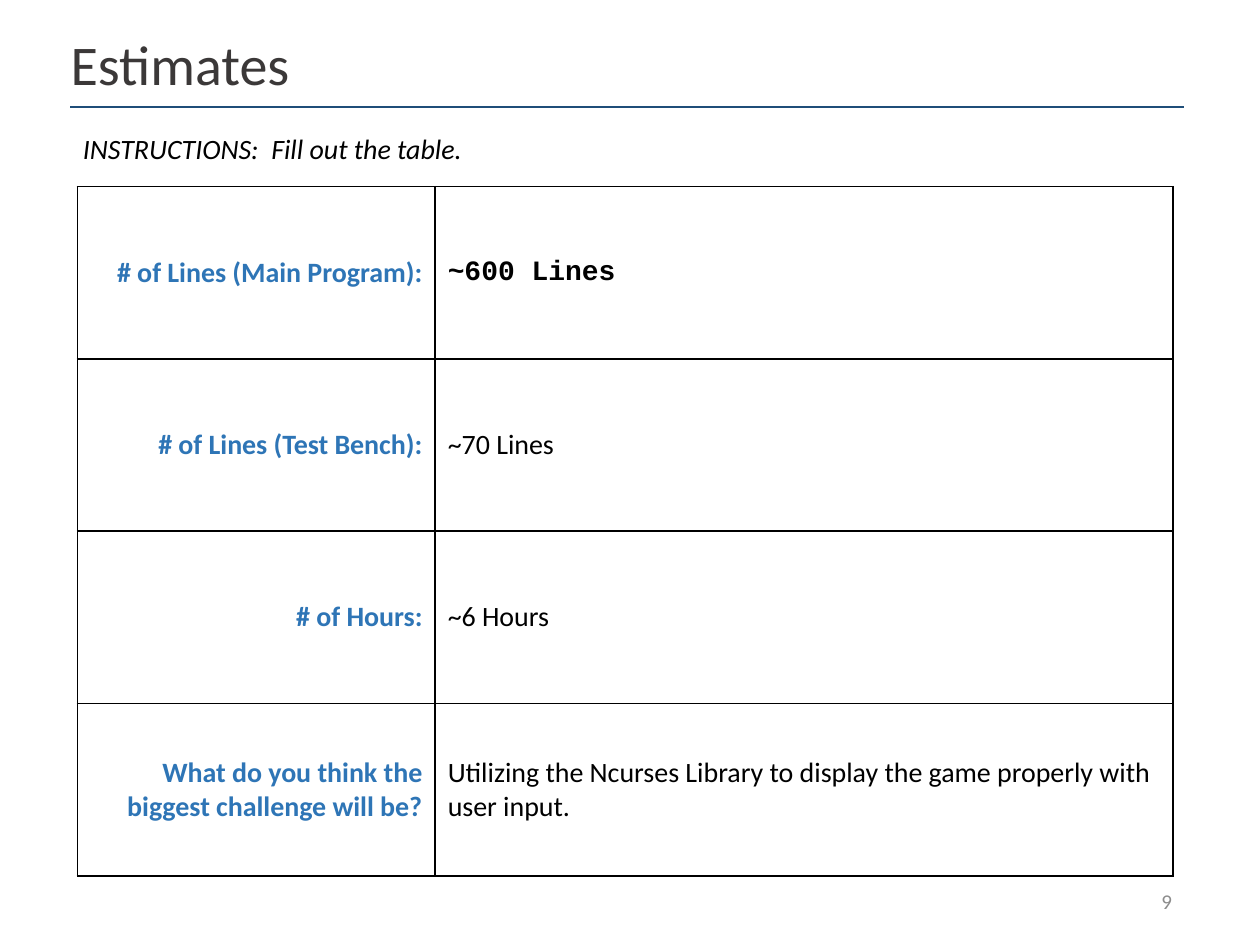
from lxml import etree
from pptx import Presentation
from pptx.dml.color import RGBColor
from pptx.enum.shapes import MSO_CONNECTOR
from pptx.enum.text import MSO_ANCHOR, MSO_AUTO_SIZE, PP_ALIGN
from pptx.oxml import parse_xml
from pptx.oxml.ns import nsdecls, qn
from pptx.util import Pt

COLORS = {
    "title": "3B3838",
    "rule": "1F4E79",
    "label": "2E75B6",
    "text": "000000",
    "number": "8C8C8C",
}
ESTIMATES = [
    ("# of Lines (Main Program):", "~600 Lines"),
    ("# of Lines (Test Bench):", "~70 Lines"),
    ("# of Hours:", "~6 Hours"),
    ("What do you think the biggest challenge will be?",
     "Utilizing the Ncurses Library to display the game properly with user input."),
]


class SlideBuilder:
    font = "Calibri"
    body_size = 16

    def __init__(self, slide):
        self.slide = slide

    def format_text(self, text_frame, text, color, size=body_size, font=font,
                    bold=False, italic=False, align=PP_ALIGN.LEFT):
        text_frame.text = text
        text_frame.word_wrap = True
        paragraph = text_frame.paragraphs[0]
        paragraph.alignment = align
        run_font = paragraph.runs[0].font
        run_font.name, run_font.size = font, Pt(size)
        run_font.bold, run_font.italic = bold, italic
        run_font.color.rgb = RGBColor.from_string(COLORS[color])
        return paragraph

    def title(self, text, left, top, width, height):
        shape = self.slide.shapes.title
        shape.left, shape.top = Pt(left), Pt(top)
        shape.width, shape.height = Pt(width), Pt(height)
        paragraph = self.format_text(shape.text_frame, text, "title", 32)
        paragraph.line_spacing = 0.9
        shape.text_frame.auto_size = MSO_AUTO_SIZE.NONE
        shape.text_frame.vertical_anchor = MSO_ANCHOR.MIDDLE

    def text(self, text, left, top, width, height, color,
             anchor=MSO_ANCHOR.TOP, **style):
        shape = self.slide.shapes.add_textbox(Pt(left), Pt(top), Pt(width), Pt(height))
        shape.text_frame.vertical_anchor = anchor
        return self.format_text(shape.text_frame, text, color, **style)

    def rule(self, left, right, y):
        line = self.slide.shapes.add_connector(
            MSO_CONNECTOR.STRAIGHT, Pt(left), Pt(y), Pt(right), Pt(y))
        line.line.color.rgb = RGBColor.from_string(COLORS["rule"])
        line.line.width = Pt(1)
        etree.SubElement(line._element.spPr, qn("a:effectLst"))

    def cell_borders(self, cell):
        properties = cell._tc.get_or_add_tcPr()
        for index, side in enumerate(("lnL", "lnR", "lnT", "lnB")):
            properties.insert(index, parse_xml(
                f'<a:{side} {nsdecls("a")} w="{Pt(1)}"><a:solidFill>'
                f'<a:srgbClr val="{COLORS["text"]}"/></a:solidFill></a:{side}>'))

    def table(self, rows, left, top, column_widths, row_height):
        table = self.slide.shapes.add_table(
            len(rows), len(column_widths), Pt(left), Pt(top),
            Pt(sum(column_widths)), Pt(row_height * len(rows))).table
        table.first_row = table.horz_banding = False
        for column, width in zip(table.columns, column_widths):
            column.width = Pt(width)
        for index, (label, answer) in enumerate(rows):
            table.rows[index].height = Pt(row_height)
            label_cell, answer_cell = table.rows[index].cells
            self.format_text(label_cell.text_frame, label, "label",
                             bold=True, align=PP_ALIGN.RIGHT)
            # The first answer stands out in bold code type
            answer_style = {"font": "Courier New", "bold": True} if index == 0 else {}
            self.format_text(answer_cell.text_frame, answer, "text", **answer_style)
            for cell in (label_cell, answer_cell):
                cell.vertical_anchor = MSO_ANCHOR.MIDDLE
                cell.fill.background()
                self.cell_borders(cell)


def main():
    presentation = Presentation()
    presentation.slide_width, presentation.slide_height = Pt(720), Pt(540)
    title_only = presentation.slide_layouts[5]
    builder = SlideBuilder(presentation.slides.add_slide(title_only))

    # Heading
    builder.rule(40.3, 676.8, 61.2)
    builder.title("Estimates", 33.1, 16.6, 644.4, 43.9)

    # Page number
    builder.text("9", 514.8, 500.4, 162, 28.8, "number", MSO_ANCHOR.MIDDLE,
                 size=12, align=PP_ALIGN.RIGHT)

    # Instructions
    instructions = builder.text("INSTRUCTIONS:  Fill out the table.",
                                40.3, 67.7, 637.2, 43.9, "text", italic=True)
    instructions.line_spacing = 1.2
    instructions.space_before = Pt(10)

    # Estimates table
    builder.table(ESTIMATES, 44.2, 106.6, (204.5, 421.5), 98.5)

    presentation.save("out.pptx")


if __name__ == "__main__":
    main()
